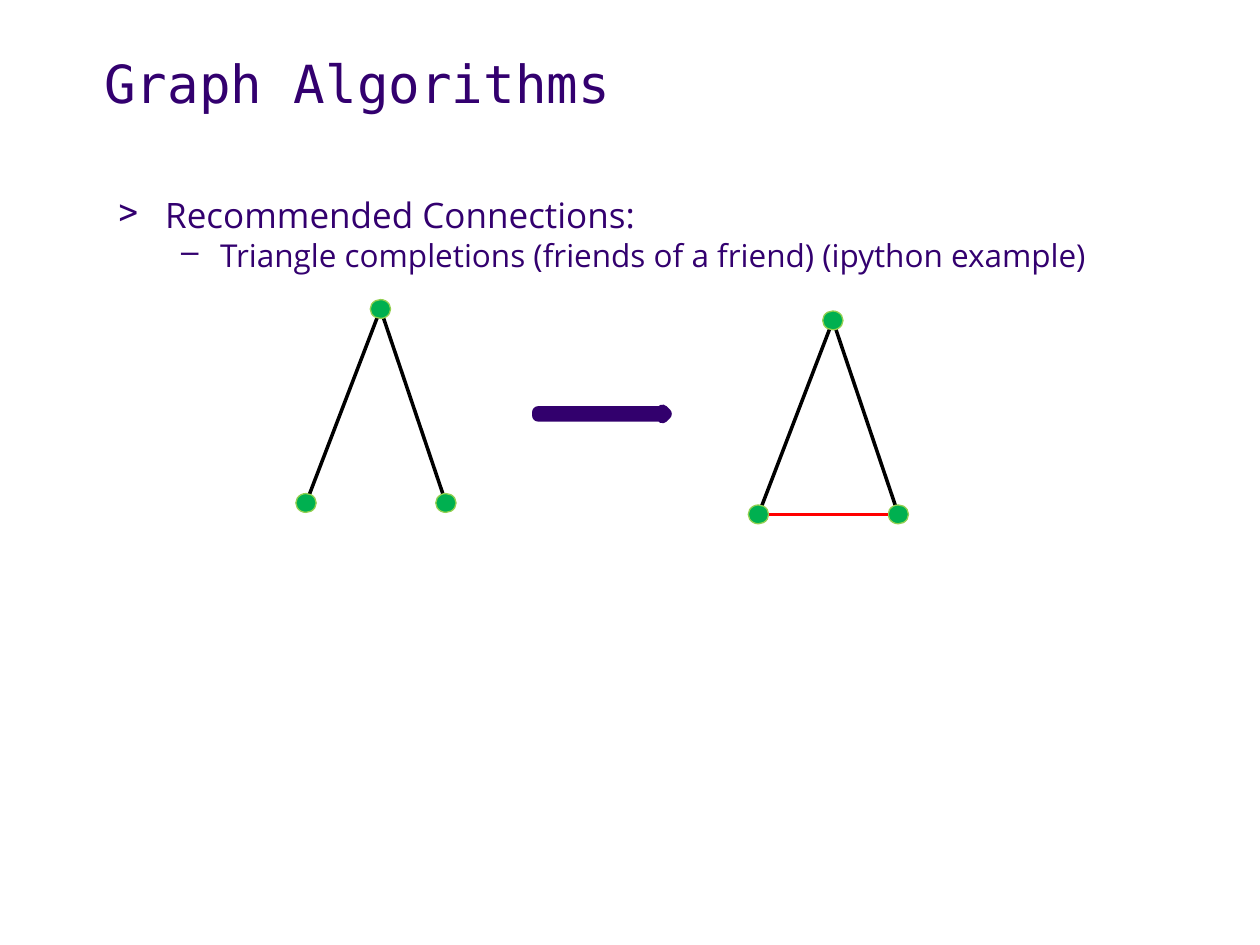
from lxml import etree
from pptx import Presentation
from pptx.dml.color import RGBColor
from pptx.enum.shapes import MSO_CONNECTOR, MSO_SHAPE
from pptx.enum.text import MSO_ANCHOR, MSO_AUTO_SIZE, PP_ALIGN
from pptx.oxml.ns import qn
from pptx.util import Cm, Pt

STRAIGHT = MSO_CONNECTOR.STRAIGHT
ELLIPSE = MSO_SHAPE.OVAL
RIGHT_ARROW = MSO_SHAPE.RIGHT_ARROW
TOP = MSO_ANCHOR.TOP
NO_FIT = MSO_AUTO_SIZE.NONE
LEFT = PP_ALIGN.LEFT

PURPLE = RGBColor(0x33, 0x00, 0x6F)
ARROW_PURPLE = RGBColor(0x32, 0x00, 0x6D)
GREEN = RGBColor(0x00, 0xB0, 0x50)
LIGHT_GREEN = RGBColor(0x92, 0xD0, 0x50)
BLACK = RGBColor(0x00, 0x00, 0x00)
WHITE = RGBColor(0xFF, 0xFF, 0xFF)
RED = RGBColor(0xFF, 0x00, 0x00)

NODE_WIDTH, NODE_HEIGHT = 0.41, 0.38


class SlideBuilder:
    title_font = "DejaVu Sans Mono"
    body_font = "Open Sans"

    def __init__(self, page):
        self.page = page

    def style(self, paragraph, font, size):
        paragraph.alignment = LEFT
        for span in paragraph.runs:
            span.font.name = font
            span.font.size = Pt(size)
            span.font.color.rgb = PURPLE

    def title(self, text, left, top, width, height):
        box = self.page.shapes.title
        box.left, box.top, box.width, box.height = map(Cm, (left, top, width, height))
        frame = box.text_frame
        frame.text = text
        frame.auto_size = NO_FIT
        frame.vertical_anchor = TOP
        frame.paragraphs[0].line_spacing = 0.9
        self.style(frame.paragraphs[0], self.title_font, 30)

    def bullets(self, items, left, top, width, height):
        box = self.page.shapes.add_textbox(*map(Cm, (left, top, width, height)))
        frame = box.text_frame
        frame.word_wrap = True
        for index, (text, level, mark, size, margin, hang) in enumerate(items):
            para = frame.add_paragraph() if index else frame.paragraphs[0]
            para.text = text
            para.level = level
            properties = para._p.get_or_add_pPr()
            properties.set("marL", str(Cm(margin)))
            properties.set("indent", str(-Cm(hang)))
            etree.SubElement(properties, qn("a:buChar")).set("char", mark)
            self.style(para, self.body_font, size)

    def line(self, start, end, color):
        connector = self.page.shapes.add_connector(STRAIGHT, *map(Cm, (*start, *end)))
        connector.line.color.rgb = color
        connector.line.width = Pt(2)
        etree.SubElement(connector._element.spPr, qn("a:effectLst"))

    def shape(self, kind, left, top, width, height, fill, outline, weight):
        shape = self.page.shapes.add_shape(kind, *map(Cm, (left, top, width, height)))
        shape.shadow.inherit = False
        shape.fill.solid()
        shape.fill.fore_color.rgb = fill
        shape.line.color.rgb = outline
        shape.line.width = Pt(weight)

    def node(self, center):
        x, y = center
        self.shape(ELLIPSE, x - NODE_WIDTH / 2, y - NODE_HEIGHT / 2,
                   NODE_WIDTH, NODE_HEIGHT, GREEN, LIGHT_GREEN, 0.75)

    def graph(self, apex_x, apex_y, closed=False):
        apex = (apex_x, apex_y)
        left = (apex_x - 1.5, apex_y + 3.91)
        right = (apex_x + 1.32, apex_y + 3.91)
        for corner in (left, right):
            self.line(corner, apex, BLACK)
        for center in (apex, left, right):
            self.node(center)
        if closed:
            self.line((left[0] + NODE_WIDTH / 2, left[1]),
                      (right[0] - NODE_WIDTH / 2, right[1]), RED)


def main():
    deck = Presentation()
    deck.slide_width, deck.slide_height = Cm(25.4), Cm(19.05)
    builder = SlideBuilder(deck.slides.add_slide(deck.slide_layouts[5]))
    builder.title("Graph Algorithms", 1.85, 1.04, 22.73, 2.74)
    builder.bullets([
        ("Recommended Connections:", 0, ">", 20, 0.95, 0.95),
        ("Triangle completions (friends of a friend) (ipython example)", 1, "–", 18, 2.06, 0.79),
    ], 2.13, 3.78, 22.76, 7.72)
    builder.graph(7.67, 6.23)
    builder.shape(RIGHT_ARROW, 10.85, 8.28, 2.57, 0.13, WHITE, ARROW_PURPLE, 7)
    builder.graph(16.79, 6.46, closed=True)
    deck.save("out.pptx")


if __name__ == "__main__":
    main()
